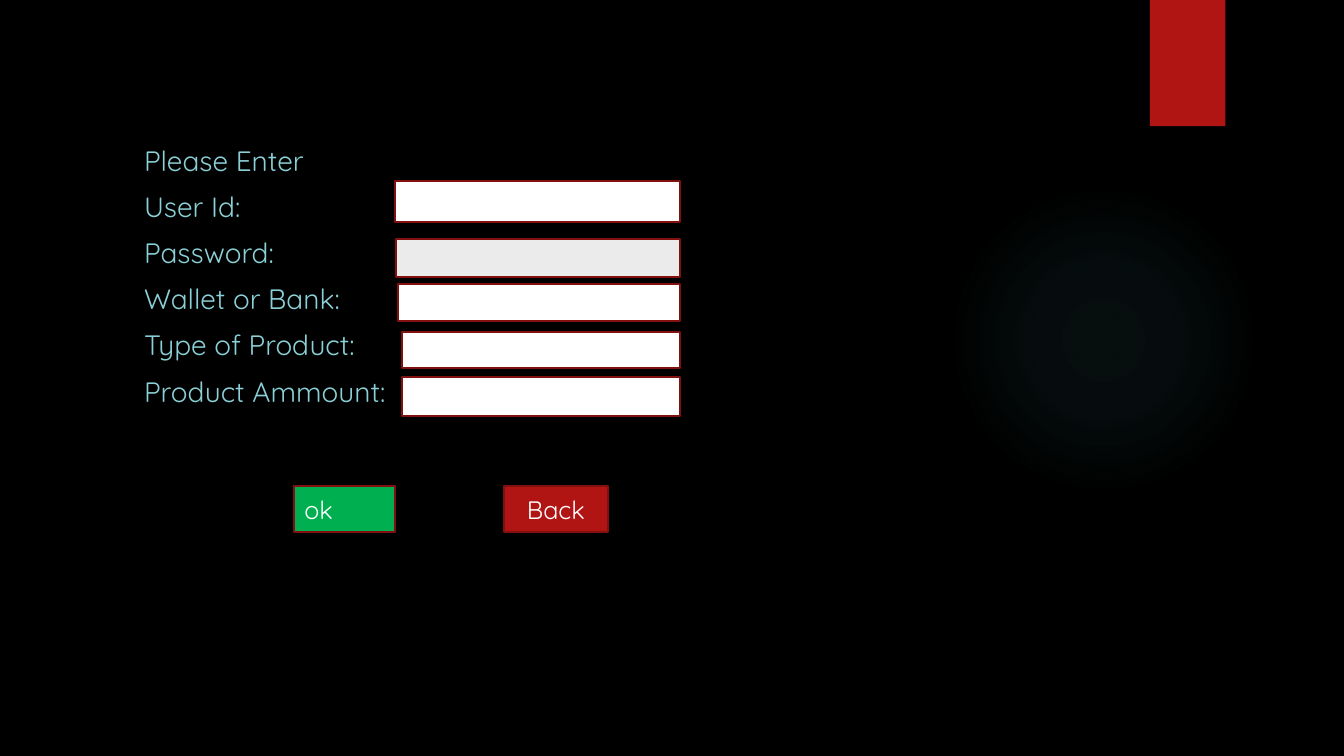
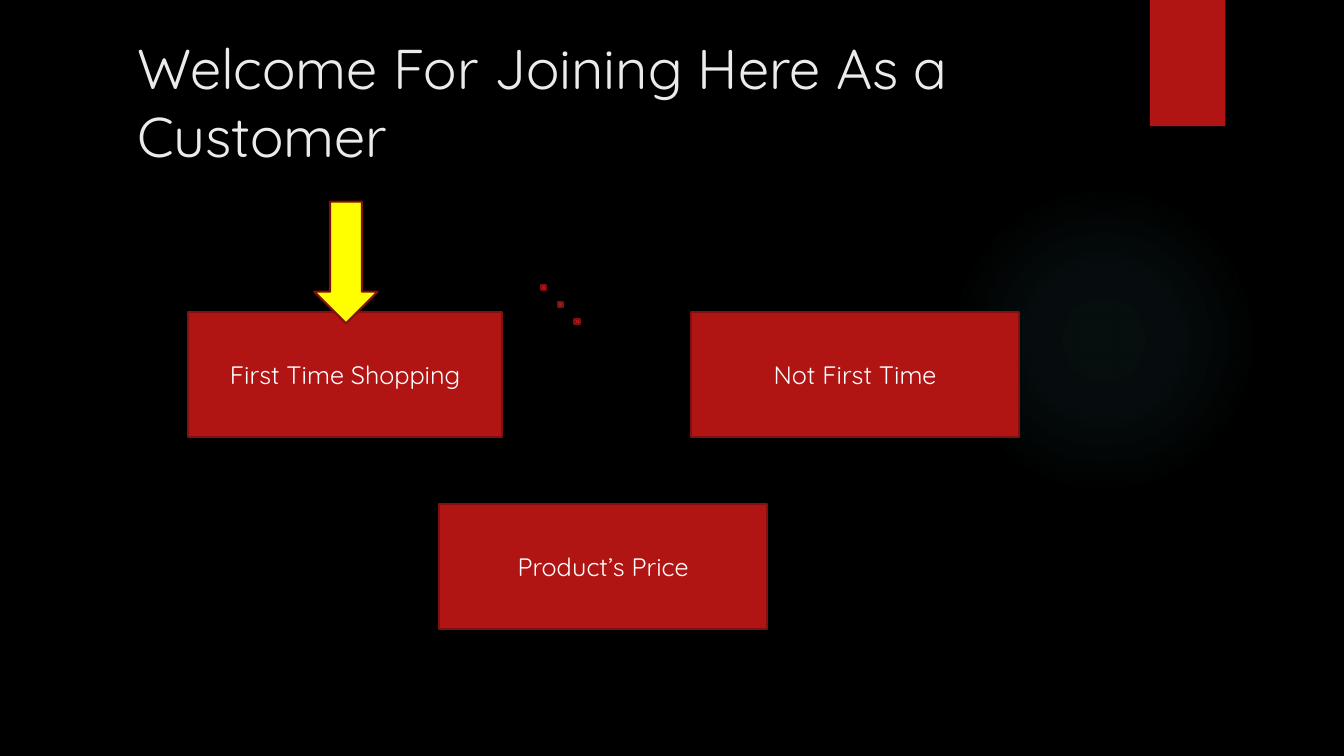
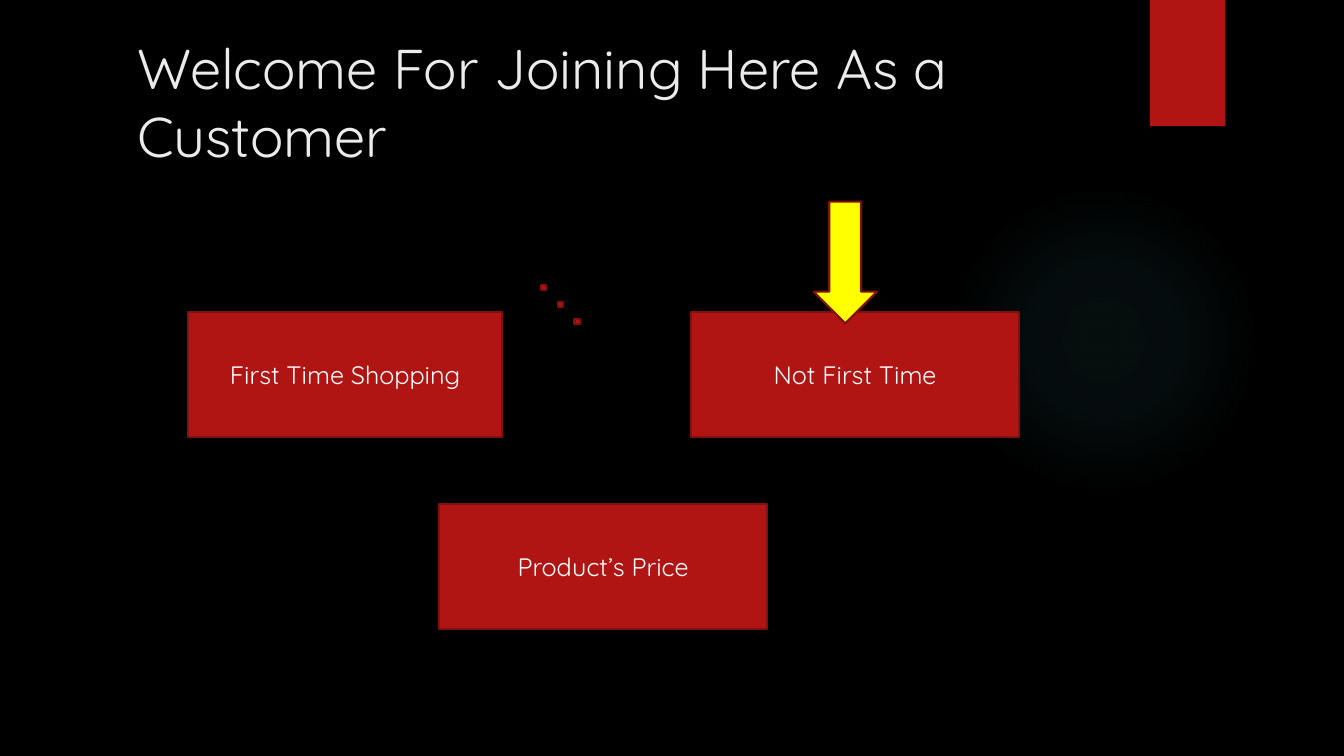
"""Build three slides of a shopping app: an order form and two welcome screens."""
from dataclasses import dataclass
from typing import Any, NamedTuple

from lxml import etree
from pptx import Presentation
from pptx.dml.color import RGBColor
from pptx.enum.shapes import MSO_SHAPE
from pptx.enum.text import MSO_ANCHOR, MSO_AUTO_SIZE, PP_ALIGN
from pptx.oxml import parse_xml
from pptx.oxml.ns import nsdecls
from pptx.util import Cm, Pt

RECT, OVAL, ARROW = MSO_SHAPE.RECTANGLE, MSO_SHAPE.OVAL, MSO_SHAPE.DOWN_ARROW
LEFT, CENTER = PP_ALIGN.LEFT, PP_ALIGN.CENTER
TOP, MIDDLE, BOTTOM = MSO_ANCHOR.TOP, MSO_ANCHOR.MIDDLE, MSO_ANCHOR.BOTTOM
NO_FIT = MSO_AUTO_SIZE.NONE
TITLE_ONLY, BLANK = 5, 6


@dataclass(frozen=True)
class Theme:
    """Hold the colours, the font and the type sizes."""
    back: str = "000000"
    red: str = "B01513"
    edge: str = "82100E"
    glow: str = "50B9C1"
    label: str = "8AD0D6"
    title: str = "EBEBEB"
    white: str = "FFFFFF"
    grey: str = "EBEBEB"
    green: str = "00B050"
    yellow: str = "FFFF00"
    font: str = "Quicksand"
    head_size: int = 40
    body_size: int = 20
    box_size: int = 18
    line: float = 1.5
    gap: int = 9


THEME = Theme()


class Area(NamedTuple):
    """Give a place and a size in centimetres."""
    x: float
    y: float
    w: float
    h: float


@dataclass(frozen=True)
class Box:
    """Describe one outlined shape and its text."""
    area: Area
    fill: str = THEME.red
    text: str = ""
    align: Any = CENTER
    kind: Any = RECT


class Field(NamedTuple):
    """Describe one input field, which ends at the shared right edge."""
    x: float
    y: float
    h: float
    fill: str = THEME.white


GLOW = Area(23.9, 4.65, 7.82, 7.82)
TAB = Area(28.98, 0, 1.9, 3.18)
HEAD = Area(3.2, 0.84, 24.51, 3.53)
BODY = Area(3.38, 3.48, 24.13, 13.46)
STOPS = ((0, 7), (36, 6), (69, 0))

LABELS = ("Please Enter", "User Id:", "Password:", "Wallet or Bank:",
          "Type of Product:", "Product Ammount:")
EDGE = 17.13
FIELDS = (
    Field(9.96, 4.57, 1.02),
    Field(9.98, 6.02, 0.97, THEME.grey),
    Field(10.03, 7.16, 0.94),
    Field(10.13, 8.36, 0.91),
    Field(10.13, 9.5, 0.99),
)
BUTTONS = (
    Box(Area(7.42, 12.24, 2.54, 1.17), THEME.green, "ok", LEFT),
    Box(Area(12.7, 12.24, 2.62, 1.17), text="Back"),
)

WELCOME = "Welcome For Joining Here As a Customer"
OPTIONS = (
    Box(Area(4.75, 7.87, 7.9, 3.15), text="First Time Shopping"),
    Box(Area(17.42, 7.87, 8.26, 3.15), text="Not First Time"),
    Box(Area(11.07, 12.7, 8.26, 3.15), text="Product’s Price"),
)
DOTS = tuple(Box(Area(13.64 + 0.42 * i, 7.19 + 0.42 * i, 0.13, 0.13))
             for i in range(3))
ARROWS = (7.92, 20.5)


def apply(target: Any, values: dict[str, Any]) -> None:
    """Set each named attribute of the target."""
    for name, value in values.items():
        setattr(target, name, value)


def span(area: Area) -> tuple[Cm, ...]:
    """Turn an area into lengths."""
    return tuple(Cm(size) for size in area)


def write(frame: Any, lines: tuple[str, ...], size: int, tint: str,
          align: Any, anchor: Any) -> None:
    """Fill a text frame with one paragraph a line."""
    apply(frame, {"word_wrap": True, "auto_size": NO_FIT,
                  "vertical_anchor": anchor})
    for i, line in enumerate(lines):
        para = frame.add_paragraph() if i else frame.paragraphs[0]
        apply(para, {"alignment": align,
                     "space_before": Pt(THEME.gap if i else 0)})
        run = para.add_run()
        run.text = line
        apply(run.font, {"name": THEME.font, "size": Pt(size)})
        run.font.color.rgb = RGBColor.from_string(tint)


def plain(slide: Any, kind: Any, area: Area, fill: str) -> Any:
    """Add a flat shape without an outline."""
    shape = slide.shapes.add_shape(kind, *span(area))
    shape.shadow.inherit = False
    shape.fill.solid()
    shape.fill.fore_color.rgb = RGBColor.from_string(fill)
    shape.line.fill.background()
    return shape


def draw(slide: Any, box: Box) -> None:
    """Add an outlined shape with its text."""
    shape = plain(slide, box.kind, box.area, box.fill)
    shape.line.color.rgb = RGBColor.from_string(THEME.edge)
    shape.line.width = Pt(THEME.line)
    if box.text:
        write(shape.text_frame, (box.text,), THEME.box_size, THEME.white,
              box.align, MIDDLE)


def fade(shape: Any) -> None:
    """Swap a solid fill for the round fading glow."""
    grad = parse_xml(
        f'<a:gradFill {nsdecls("a")} rotWithShape="1"><a:gsLst/>'
        '<a:path path="circle"><a:fillToRect l="50000" t="50000" '
        'r="50000" b="50000"/></a:path></a:gradFill>')
    tag = grad.tag.replace("gradFill", "")
    for place, alpha in STOPS:
        stop = etree.SubElement(grad[0], f"{tag}gs", pos=str(place * 1000))
        tint = etree.SubElement(stop, f"{tag}srgbClr", val=THEME.glow)
        etree.SubElement(tint, f"{tag}alpha", val=str(alpha * 1000))
    props = shape.element.spPr
    props.replace(props.find(f"{tag}solidFill"), grad)


def dress(deck: Any, slide: Any) -> None:
    """Put the background, glow and tab on the slide master."""
    master = deck.slide_master
    master.background.fill.solid()
    master.background.fill.fore_color.rgb = RGBColor.from_string(THEME.back)
    glow = plain(slide, OVAL, GLOW, THEME.glow)
    fade(glow)
    tab = plain(slide, RECT, TAB, THEME.red)
    for i, shape in enumerate((glow, tab)):
        shape.element.nvSpPr.cNvPr.set("id", str(20 + i))
        master.shapes.element.insert(2 + i, shape.element)


def form(slide: Any) -> None:
    """Draw the order form."""
    body = slide.shapes.add_textbox(*span(BODY))
    write(body.text_frame, LABELS, THEME.body_size, THEME.label, LEFT, TOP)
    for field in FIELDS:
        area = Area(field.x, field.y, EDGE - field.x, field.h)
        draw(slide, Box(area, field.fill))
    for button in BUTTONS:
        draw(slide, button)


def greet(slide: Any, x: float) -> None:
    """Draw a welcome screen with the arrow at x."""
    title = slide.shapes.title
    apply(title, dict(zip(("left", "top", "width", "height"), span(HEAD))))
    write(title.text_frame, (WELCOME,), THEME.head_size, THEME.title,
          LEFT, BOTTOM)
    arrow = Box(Area(x, 5.08, 1.6, 3.07), THEME.yellow, kind=ARROW)
    for box in (*OPTIONS, arrow, *DOTS):
        draw(slide, box)


def main() -> None:
    """Build and save the deck."""
    deck = Presentation()
    apply(deck, {"slide_width": Cm(33.87), "slide_height": Cm(19.05)})
    first = deck.slides.add_slide(deck.slide_layouts[BLANK])
    dress(deck, first)
    form(first)
    for x in ARROWS:
        greet(deck.slides.add_slide(deck.slide_layouts[TITLE_ONLY]), x)
    deck.save("out.pptx")


if __name__ == "__main__":
    main()
